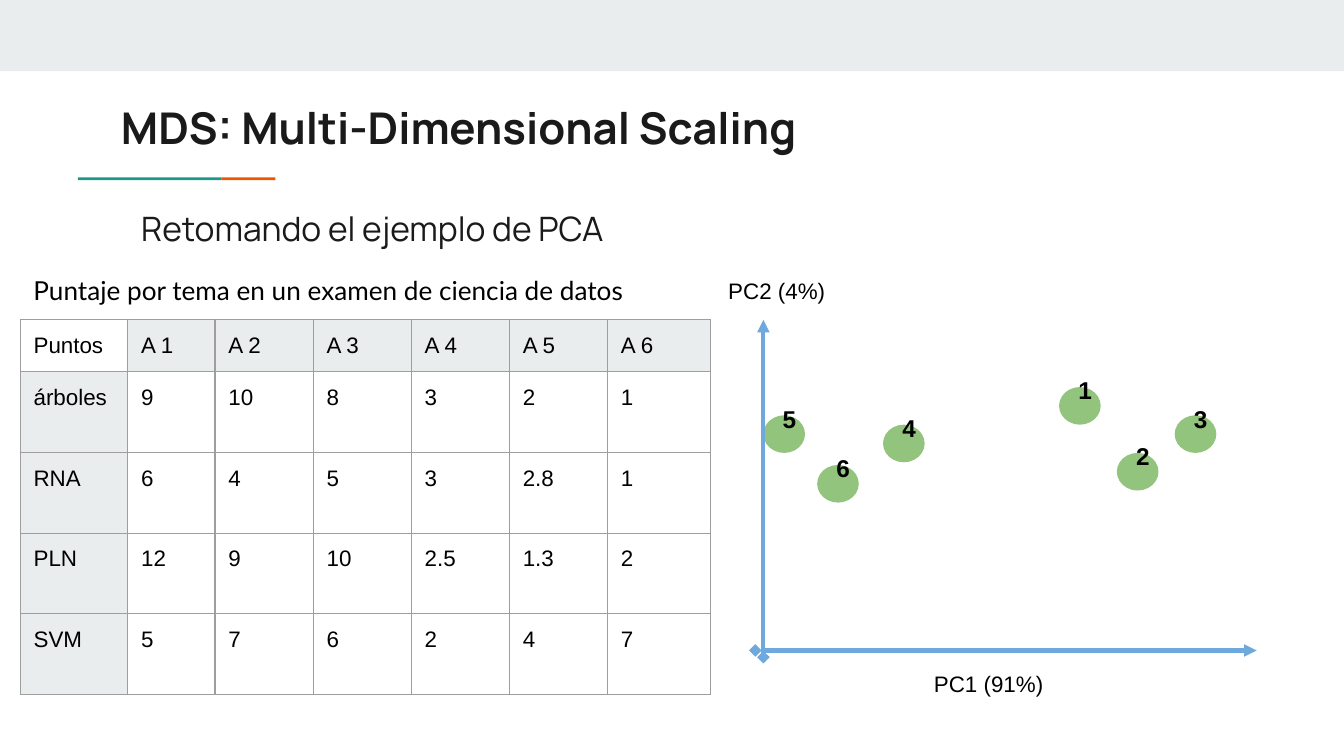
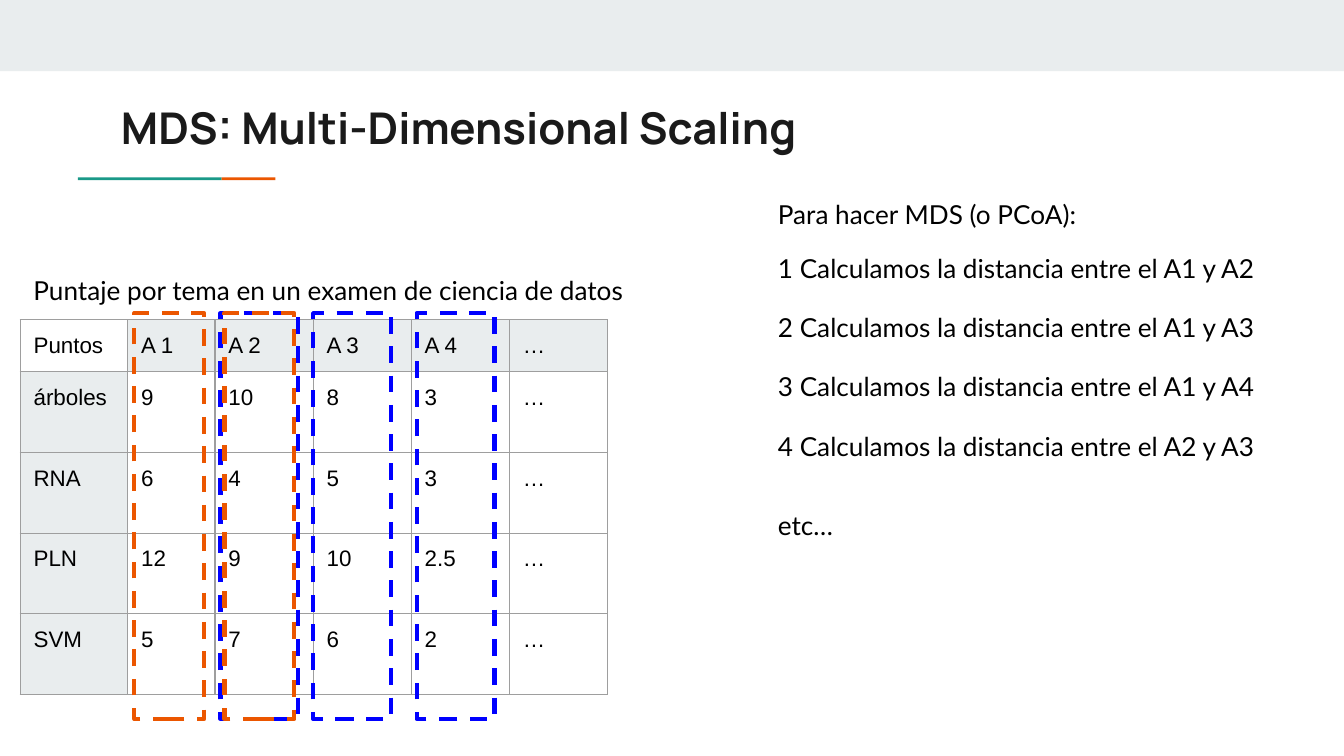
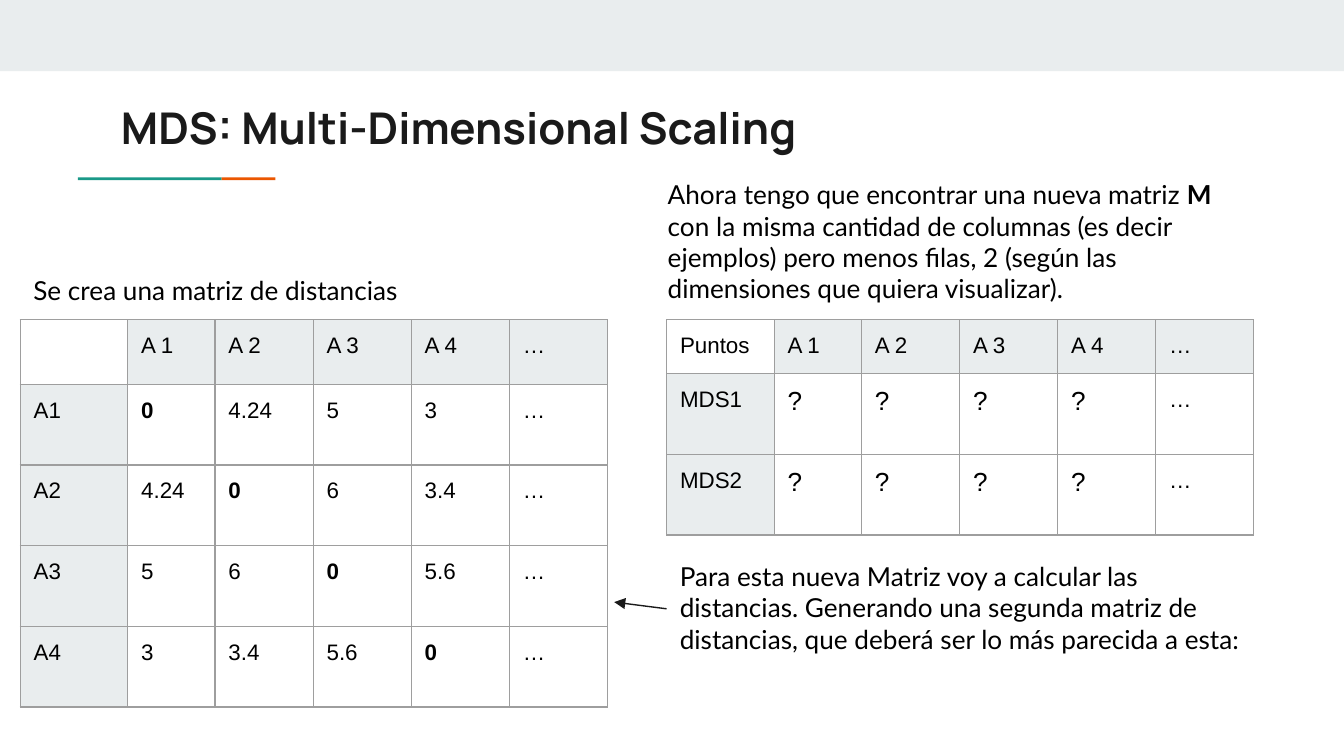
from lxml import etree
from pptx import Presentation
from pptx import util as u
from pptx.dml.color import RGBColor
from pptx.enum import dml, shapes, text
from pptx.oxml import ns

PX = 9144  # 100 px to the inch
INK = {"band": "E9EDEE", "teal": "1A9988", "orange": "EB5600", "blue": "0000FF",
       "black": "000000", "title": "1A1A1A", "grid": "9E9E9E", "axis": "6FA8DC",
       "dot": "93C47D"}
HEADS = ["A 1", "A 2", "A 3", "A 4"]
SCORES = [["árboles", "9", "10", "8", "3", "2", "1"],
          ["RNA", "6", "4", "5", "3", "2.8", "1"],
          ["PLN", "12", "9", "10", "2.5", "1.3", "2"],
          ["SVM", "5", "7", "6", "2", "4", "7"]]
COLS = [80, 65, 73, 73, 73, 73, 77]
TOP = 238
LEFT = 15


def px(*vals):
    return [u.Emu(v * PX) for v in vals]


def rgb(name):
    return RGBColor.from_string(INK[name])


def node(parent, tag, **attrs):
    return etree.SubElement(parent, ns.qn(tag), attrs)


def add_run(para, words, size, font="Lato", color="black", bold=False):
    run = para.add_run()
    run.text = words
    run.font.size, run.font.name, run.font.bold = u.Pt(size), font, bold
    run.font.color.rgb = rgb(color)


def pad(frame):
    frame.margin_left = frame.margin_right = u.Emu(10 * PX)
    frame.margin_top = frame.margin_bottom = u.Emu(10 * PX)


def add_shape(slide, kind, box, fill=None, line=None):
    shape = slide.shapes.add_shape(kind, *px(*box))
    shape.shadow.inherit = False
    if fill:
        shape.fill.solid()
        shape.fill.fore_color.rgb = rgb(fill)
    else:
        shape.fill.background()
    if line:
        shape.line.color.rgb = rgb(line)
        shape.line.width = u.Pt(2.25)
        shape.line.dash_style = dml.MSO_LINE.DASH
    else:
        shape.line.fill.background()
    return shape


def add_note(slide, box, *runs, size=14, font="Lato"):
    """Add a text box; each run is (words, bold)."""
    frame = slide.shapes.add_textbox(*px(*box)).text_frame
    frame.word_wrap = True
    frame.auto_size = text.MSO_AUTO_SIZE.SHAPE_TO_FIT_TEXT
    pad(frame)
    for words, bold in runs:
        add_run(frame.paragraphs[0], words, size, font, bold=bold)


def fill_holder(holder, box, words, size, bold):
    holder.left, holder.top, holder.width, holder.height = px(*box)
    frame = holder.text_frame
    frame.auto_size = text.MSO_AUTO_SIZE.NONE
    frame.vertical_anchor = text.MSO_ANCHOR.TOP
    frame.word_wrap = True
    pad(frame)
    para = frame.paragraphs[0]
    para.alignment = text.PP_ALIGN.LEFT
    para.space_before = u.Pt(0)
    props = para._p.get_or_add_pPr()
    props.set("marL", "0")
    props.set("indent", "0")
    node(props, "a:buNone")
    add_run(para, words, size, "Manrope", "title", bold)


def add_line(slide, start, end, color, width, head="none"):
    line = slide.shapes.add_connector(shapes.MSO_CONNECTOR.STRAIGHT, *px(*start, *end))
    line.line.color.rgb = rgb(color)
    line.line.width = u.Pt(width)
    props = line._element.spPr
    stroke = props.find(ns.qn("a:ln"))
    node(stroke, "a:headEnd", type=head)
    node(stroke, "a:tailEnd", type="triangle")
    node(props, "a:effectLst")


def edge_cell(cell):
    props = cell._tc.get_or_add_tcPr()
    for i, side in enumerate("LRTB"):
        edge = node(props, "a:ln" + side, w=str(u.Pt(0.75)))
        node(node(edge, "a:solidFill"), "a:srgbClr", val=INK["grid"])
        props.insert(i, edge)


def add_grid(slide, left, rows):
    """Add a table whose first row and column are shaded, save the corner."""
    cols = COLS[:len(rows[0])]
    highs = [35] + [60] * (len(rows) - 1)
    grid = slide.shapes.add_table(len(rows), len(cols),
                                  *px(left, TOP, sum(cols), sum(highs))).table
    grid.first_row = grid.horz_banding = False
    for col, wide in zip(grid.columns, cols):
        col.width = u.Emu(wide * PX)
    for r, row in enumerate(rows):
        grid.rows[r].height = u.Emu(highs[r] * PX)
        for c, words in enumerate(row):
            cell = grid.cell(r, c)
            pad(cell)
            if (r == 0) != (c == 0):
                cell.fill.solid()
                cell.fill.fore_color.rgb = rgb("band")
            else:
                cell.fill.background()
            edge_cell(cell)
            para = cell.text_frame.paragraphs[0]
            if words:
                add_run(para, words, 14 if words == "?" else 12, "Arial",
                        bold=words == "0")
            else:
                node(node(para._p, "a:endParaRPr", sz="1800"), "a:latin", typeface="Arial")


def dress_master(deck, slide):
    """Move the band and the two-colour rule to the back of the master."""
    tree = deck.slide_master.element.cSld.spTree
    parts = [((0, 0, 1000, 53), "band"), ((58, 132, 107, 2), "teal"),
             ((165, 132, 40, 2), "orange")]
    for i, (box, color) in enumerate(parts):
        shape = add_shape(slide, shapes.MSO_SHAPE.RECTANGLE, box, color)
        tree.insert(2 + i, shape._element)


def new_slide(deck, layout):
    slide = deck.slides.add_slide(deck.slide_layouts[layout])
    fill_holder(slide.shapes.title, (80, 65, 841, 59),
                "MDS: Multi-Dimensional Scaling", 23.4, True)
    return slide


def add_caption(slide, words):
    add_note(slide, (LEFT, 194, 513, 44), (words, False))


def add_plot(slide, x, y):
    """Draw the scatter with its axes crossing at x, y."""
    add_line(slide, (x - 6, y), (x + 367, y), "axis", 2.25, "diamond")
    dots = {"6": (40, -138), "5": (0, -175), "4": (89, -168),
            "3": (306, -175), "1": (220, -196), "2": (263, -147)}
    for name, (dx, dy) in dots.items():
        dot = add_shape(slide, shapes.MSO_SHAPE.OVAL, (x + dx, y + dy, 31, 28), "dot")
        frame = dot.text_frame
        pad(frame)
        frame.vertical_anchor = text.MSO_ANCHOR.MIDDLE
        para = frame.paragraphs[0]
        para.alignment = text.PP_ALIGN.CENTER
        add_run(para, name, 13, "Arial", bold=True)
        add_run(para, " ", 14, "Arial")
    add_line(slide, (x, y + 5), (x, y - 246), "axis", 2.25, "diamond")
    for words, dx, dy in [("PC1 (91%)", 117, 5), ("PC2 (4%)", -36, -288)]:
        add_note(slide, (x + dx, y + dy, 122, 40), (words, False), size=12, font="Arial")


def build_recap(deck):
    slide = new_slide(deck, 1)
    dress_master(deck, slide)
    fill_holder(slide.placeholders[1], (95, 145, 418, 59),
                "Retomando el ejemplo de PCA", 18, False)
    add_grid(slide, LEFT, [["Puntos", *HEADS, "A 5", "A 6"], *SCORES])
    add_caption(slide, "Puntaje por tema en un examen de ciencia de datos")
    add_plot(slide, 568, 484)


def build_steps(deck):
    slide = new_slide(deck, 5)
    add_grid(slide, LEFT, [["Puntos", *HEADS, "…"]] + [row[:5] + ["…"] for row in SCORES])
    add_caption(slide, "Puntaje por tema en un examen de ciencia de datos")
    frames = [(100, 52, "orange"), (164, 58, "blue"), (233, 58, "blue"),
              (310, 58, "blue"), (167, 52, "orange")]
    for left, wide, color in frames:
        add_shape(slide, shapes.MSO_SHAPE.RECTANGLE, (left, 233, wide, 302), line=color)
    pairs = ["A1 y A2", "A1 y A3", "A1 y A4", "A2 y A3"]
    steps = [(178 + 44 * i, f"{i + 1} Calculamos la distancia entre el {pair}")
             for i, pair in enumerate(pairs)]
    for y, words in [(138, "Para hacer MDS (o PCoA):"), *steps, (369, "etc…")]:
        add_note(slide, (569, y, 406, 44), (words, False))


def build_matrix(deck):
    slide = new_slide(deck, 5)
    gaps = [["A1", "0", "4.24", "5", "3"], ["A2", "4.24", "0", "6", "3.4"],
            ["A3", "5", "6", "0", "5.6"], ["A4", "3", "3.4", "5.6", "0"]]
    add_grid(slide, LEFT, [["", *HEADS, "…"]] + [row + ["…"] for row in gaps])
    add_caption(slide, "Se crea una matriz de distancias")
    add_note(slide, (487, 123, 444, 114),
             ("Ahora tengo que encontrar una nueva matriz ", False), ("M", True),
             (" con la misma cantidad de columnas (es decir ejemplos) pero menos filas, "
              "2 (según las dimensiones que quiera visualizar).", False))
    add_grid(slide, 496, [["Puntos", *HEADS, "…"]]
             + [[name] + ["?"] * 4 + ["…"] for name in ("MDS1", "MDS2")])
    add_note(slide, (496, 407, 444, 91),
             ("Para esta nueva Matriz voy a calcular las distancias. Generando una segunda "
              "matriz de distancias, que deberá ser lo más parecida a esta:", False))
    add_line(slide, (496, 453), (457, 448), "title", 0.75)


def main():
    deck = Presentation()
    deck.slide_width = u.Emu(1000 * PX)
    deck.slide_height = u.Emu(deck.slide_width * 9 // 16)
    build_recap(deck)
    build_steps(deck)
    build_matrix(deck)
    deck.save("out.pptx")


if __name__ == "__main__":
    main()
